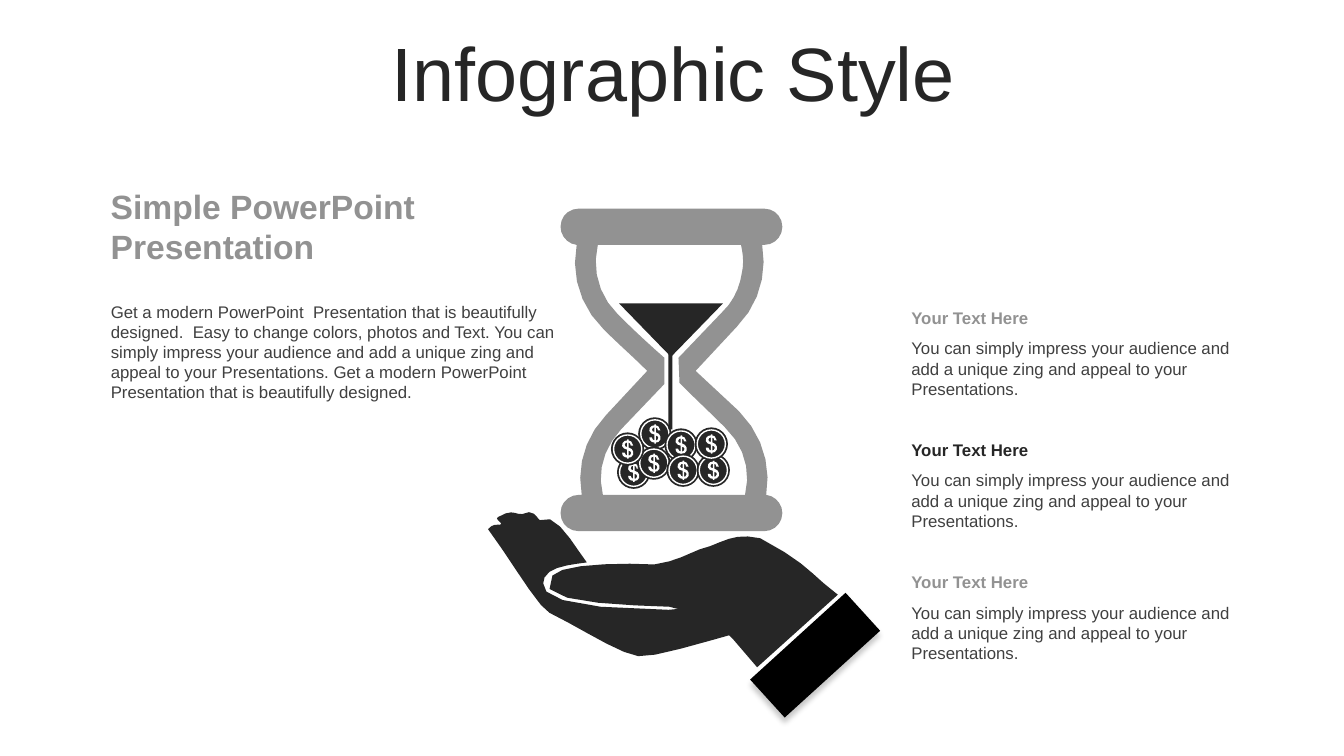
"""Build the hourglass-on-a-hand infographic slide on a fine grid of square cells."""
from lxml import etree
from pptx import Presentation, util as u
from pptx.dml.color import RGBColor
from pptx.enum import shapes, text
from pptx.oxml.ns import qn

CELL = u.Inches(0.01)
COLUMNS, ROWS = 1333, 750
CURVE_STEPS = 5
DARK = RGBColor(0x26, 0x26, 0x26)
GREY = RGBColor(0x92, 0x92, 0x92)
BODY = RGBColor(0x40, 0x40, 0x40)
BLACK = RGBColor(0, 0, 0)
WHITE = RGBColor(255, 255, 255)

PALM = """M 649 560 C 611 558 556 560 548 571 C 522 598 612 600 664 602
C 673 605 693 607 702 610 L 727 634 L 751 662 L 831 590 C 803 569 803 560 754 534
C 731 529 722 535 704 542 C 686 546 677 556 649 560"""
FINGERS = """M 582 558 C 571 544 551 506 536 516 C 534 518 531 503 518 510
C 511 511 509 504 494 513 C 490 515 498 518 497 520 C 495 522 490 518 484 525
C 505 553 534 603 545 608 C 574 622 613 648 633 651 C 652 653 719 630 762 620
C 758 613 722 595 663 605 C 521 604 539 580 540 573 C 545 562 567 560 582 558"""
HOURGLASS = """M 593 243 C 587 267 594 294 613 312 C 628 327 643 341 659 355
L 659 381 L 616 426 C 599 444 592 468 598 491 L 739 491 C 745 467 738 442 719 424
C 704 409 689 395 674 380 L 673 355 L 716 310 C 728 299 734 284 736 270
C 738 261 737 252 735 243 L 593 243
M 574 207 L 758 207 C 768 207 776 215 776 225 C 776 235 768 243 758 243 L 756 243
C 761 271 753 302 731 324 L 690 368 L 733 408 C 756 431 765 462 760 491
C 769 492 776 500 776 509 C 776 519 768 527 758 527 L 574 527
C 564 527 556 519 556 509 C 556 499 564 491 574 491 L 577 491
C 572 463 580 434 601 412 L 642 368 C 628 354 613 341 599 327
C 576 305 566 273 572 243 C 563 242 556 234 556 225 C 556 215 564 207 574 207"""
DOLLAR = """M 16 14.5 L 16 10 L 14.5 10.5 L 13.5 12.5 L 14.5 14
M 17.5 23 L 19 22.5 L 20 20.5 L 19.5 19 L 17.5 18
M 17.5 26 L 16 26 L 16 25 L 13.5 24.5 L 11.5 22.5 L 11 20 L 13.5 20 L 14.5 22 L 16 23
L 16 17 L 13 16 L 11 13.5 L 11.5 10.5 L 13.5 8.5 L 16 8 L 16 7 L 17.5 7 L 17.5 8
L 20 9 L 22 13 L 19.5 13 L 19 11 L 17.5 10 L 17.5 15 L 20.5 16.5 L 22 19 L 22 22
L 20 24.5 L 17.5 25"""
COINS = [(612, 452), (633, 414), (659, 425), (632, 443),
         (606, 429), (661, 450), (691, 450), (689, 424)]
COIN_SIZE, COIN_RIM = 33, 2.5

INTRO = ("Get a modern PowerPoint  Presentation that is beautifully designed.  Easy to change "
         "colors, photos and Text. You can simply impress your audience and add a unique zing "
         "and appeal to your Presentations. Get a modern PowerPoint  Presentation that is "
         "beautifully designed.")
POINT = ("You can simply impress your audience and add a unique zing and appeal to your "
         "Presentations.")


def cells(*counts):
    """Turn counts of grid cells into lengths."""
    return [u.Emu(round(count * CELL)) for count in counts]


def bezier(start, handles):
    """Sample a cubic curve after its start point."""
    first, second, end = handles
    points = []
    for step in range(1, CURVE_STEPS + 1):
        t = step / CURVE_STEPS
        s = 1 - t
        points.append(tuple(s**3 * a + 3 * s * s * t * b + 3 * s * t * t * c + t**3 * d
                            for a, b, c, d in zip(start, first, second, end)))
    return points


def contours(outline, column, row):
    """Read M, L and C commands into lists of points, moved by column and row."""
    result = []
    tokens = iter(outline.split())
    for command in tokens:
        points = [(float(next(tokens)) + column, float(next(tokens)) + row)
                  for _ in range(3 if command == "C" else 1)]
        if command == "M":
            result.append(points)
        elif command == "L":
            result[-1].extend(points)
        else:
            result[-1].extend(bezier(result[-1][-1], points))
    return result


def paint(shape, fill, line=None):
    """Give a shape a flat fill and an optional one-point line."""
    shape.shadow.inherit = False
    shape.fill.solid()
    shape.fill.fore_color.rgb = fill
    if line is None:
        shape.line.fill.background()
    else:
        shape.line.color.rgb = line
        shape.line.width = u.Pt(1)
    return shape


def add_outline(slide, outline, fill, column=0, row=0):
    """Draw a filled freeform whose inner contours are holes."""
    builder = None
    for contour in contours(outline, column, row):
        points = [cells(*point) for point in contour]
        if builder is None:
            builder = slide.shapes.build_freeform(*points[0])
        else:
            builder.move_to(*points[0])
        builder.add_line_segments(points[1:], close=True)
    return paint(builder.convert_to_shape(), fill)


def add_preset(slide, kind, box, fill, line=None, rotation=0):
    """Draw a preset shape in a box of cells."""
    shape = slide.shapes.add_shape(kind, *cells(*box))
    shape.rotation = rotation
    return paint(shape, fill, line)


def add_soft_shadow(shape):
    """Cast a faint shadow straight down."""
    effects = shape._element.spPr.find(qn("a:effectLst"))
    shadow = etree.SubElement(effects, qn("a:outerShdw"), blurRad=str(u.Pt(4)),
                              dist=str(u.Pt(4)), dir="5400000", rotWithShape="0")
    color = etree.SubElement(shadow, qn("a:srgbClr"), val="000000")
    etree.SubElement(color, qn("a:alpha"), val="22000")


def add_text(slide, box, words, size, color, bold=False):
    """Place a wrapped Arial text box and return its shape."""
    shape = slide.shapes.add_textbox(*cells(*box))
    shape.text_frame.word_wrap = True
    shape.text_frame.text = words
    font = shape.text_frame.paragraphs[0].runs[0].font
    font.name, font.size, font.bold = "Arial", u.Pt(size), bold
    font.color.rgb = color
    return shape


def add_title(slide, words):
    """Place the centred title."""
    frame = add_text(slide, (35, 37, 1266, 79), words, 54, DARK).text_frame
    frame.vertical_anchor = text.MSO_ANCHOR.MIDDLE
    frame.paragraphs[0].alignment = text.PP_ALIGN.CENTER
    frame.paragraphs[0].line_spacing = 0.9


def add_coin(slide, column, row):
    """Draw a rimmed coin with a dollar sign."""
    oval = shapes.MSO_SHAPE.OVAL
    face = COIN_SIZE - 2 * COIN_RIM
    add_preset(slide, oval, (column, row, COIN_SIZE, COIN_SIZE), DARK)
    add_preset(slide, oval, (column + COIN_RIM, row + COIN_RIM, face, face), DARK, WHITE)
    add_outline(slide, DOLLAR, WHITE, column, row)


def add_point(slide, row, color):
    """Place a heading with its text in the right column."""
    add_text(slide, (894, row + 30.5, 339, 71), POINT, 12, BODY)
    add_text(slide, (894, row, 339, 30), "Your Text Here", 12, color, True)


def main():
    """Build and save the slide."""
    presentation = Presentation()
    presentation.slide_width, presentation.slide_height = cells(COLUMNS, ROWS)
    slide = presentation.slides.add_slide(presentation.slide_layouts[6])
    add_title(slide, "Infographic Style")
    add_outline(slide, PALM, DARK)
    add_outline(slide, FINGERS, DARK)
    add_soft_shadow(add_preset(slide, shapes.MSO_SHAPE.RECTANGLE, (783, 586, 51, 128),
                               BLACK, rotation=47.7))
    add_outline(slide, HOURGLASS, GREY)
    for column, row in COINS:
        add_coin(slide, column, row)
    add_preset(slide, shapes.MSO_SHAPE.ISOSCELES_TRIANGLE, (614, 301, 103, 53), DARK,
               rotation=180)
    add_preset(slide, shapes.MSO_SHAPE.RECTANGLE, (663, 347, 4, 79), DARK)
    add_text(slide, (100, 179, 386, 91), "Simple PowerPoint Presentation", 24, GREY, True)
    add_text(slide, (100, 294, 479, 111), INTRO, 12, BODY)
    for index, color in enumerate((GREY, DARK, GREY)):
        add_point(slide, 300 + 131 * index, color)
    presentation.save("out.pptx")


if __name__ == "__main__":
    main()
